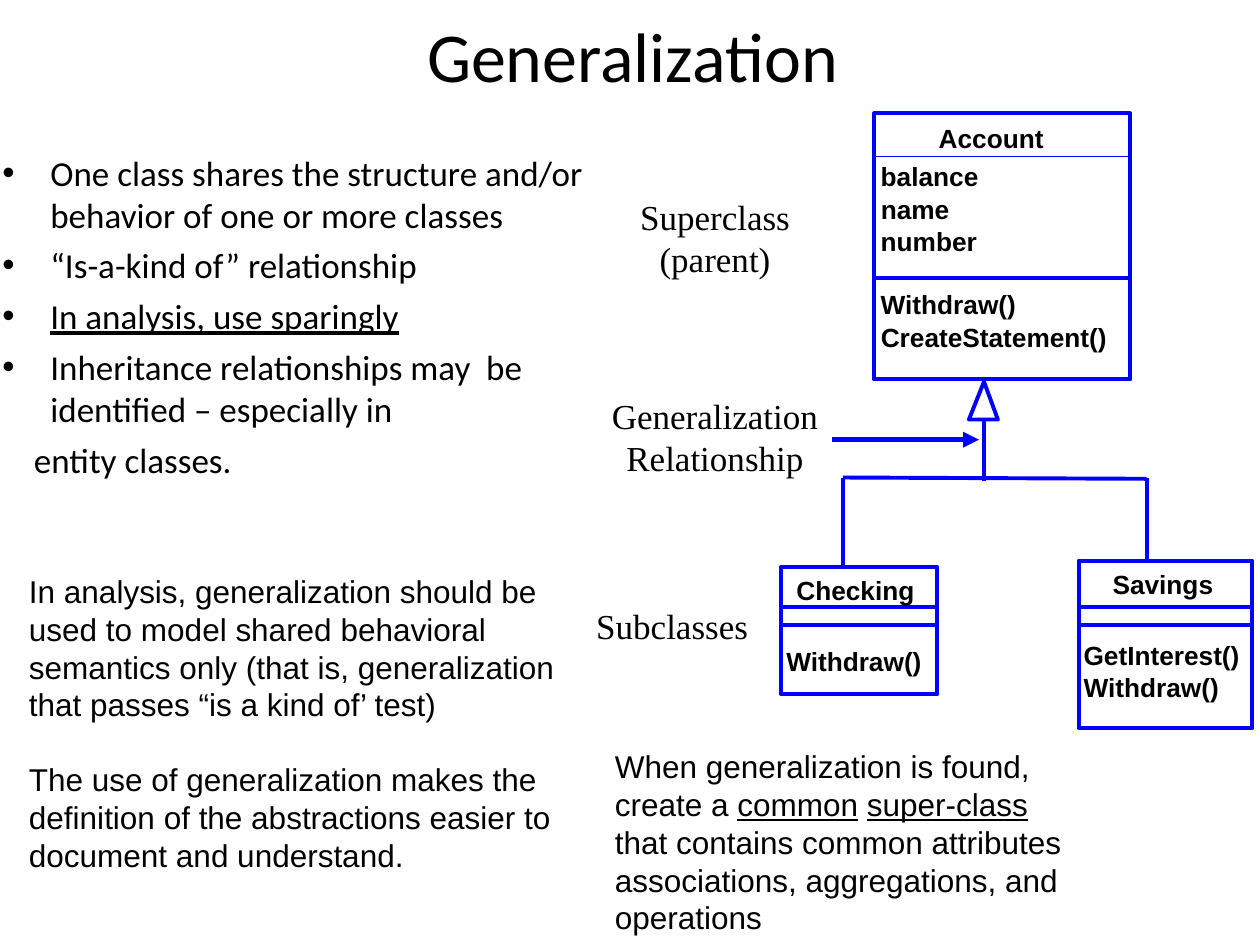
from typing import NamedTuple

from lxml import etree
from pptx import Presentation
from pptx.dml.color import RGBColor
from pptx.enum.shapes import MSO_CONNECTOR, MSO_SHAPE
from pptx.enum.text import MSO_ANCHOR, PP_ALIGN
from pptx.oxml.ns import qn
from pptx.util import Inches, Pt

BLUE = RGBColor(0x00, 0x00, 0xFF)
BLACK = RGBColor(0x00, 0x00, 0x00)
RECT = MSO_SHAPE.RECTANGLE
LINE = MSO_CONNECTOR.STRAIGHT
LEFT, MID = PP_ALIGN.LEFT, PP_ALIGN.CENTER
TOP, CENTER = MSO_ANCHOR.TOP, MSO_ANCHOR.MIDDLE
STROKE = 2.25
PITCH = 0.26


class Box(NamedTuple):
    left: float
    top: float
    width: float
    height: float


class Style(NamedTuple):
    font: str
    size: float
    bold: bool = False
    align: PP_ALIGN = LEFT
    anchor: MSO_ANCHOR = TOP
    pad: tuple = (0.12, 0.06)
    wrap: bool = True


class Run(NamedTuple):
    text: str
    under: bool = False


class Para(NamedTuple):
    runs: list
    before: float = 0
    bullet: bool = False
    indent: float = 0


class Member(NamedTuple):
    text: str
    left: float
    top: float
    width: float


class Sub(NamedTuple):
    """A subclass box with its name and operations."""
    box: Box
    members: list


TITLE = Style("Calibri", 40, align=MID, anchor=CENTER, pad=(0.1, 0.05))
BODY = Style("Calibri", 20, pad=(0.02, 0.05))
NOTE = Style("Arial", 18, wrap=False)
LABEL = Style("Times New Roman", 20, align=MID)
CODE = Style("Arial", 15, bold=True, pad=(0, 0))

POINTS = [
    Para([Run("One class shares the structure and/or behavior of one or more classes")],
         bullet=True),
    Para([Run("“Is-a-kind of” relationship")], 5, True),
    Para([Run("In analysis, use sparingly", True)], 5, True),
    Para([Run("Inheritance relationships may  be identified – especially in")], 5, True),
    Para([Run("entity classes.")], 5, indent=0.25),
]
USE = [
    Para([Run("In analysis, generalization should be")]),
    Para([Run("used to model shared behavioral")]),
    Para([Run("semantics only (that is, generalization")]),
    Para([Run("that passes “is a kind of’ test)")]),
    Para([Run("The use of generalization makes the")], 21),
    Para([Run("definition of the abstractions easier to")]),
    Para([Run("document and understand.")]),
]
FOUND = [
    Para([Run("When generalization is found,")]),
    Para([Run("create a "), Run("common", True), Run(" "), Run("super-class", True)]),
    Para([Run("that contains common attributes")]),
    Para([Run("associations, aggregations, and")]),
    Para([Run("operations")]),
]
LABELS = [
    ("Superclass (parent)", Box(4.69, 1.49, 1.97, 0.79)),
    ("Generalization Relationship", Box(4.69, 3.07, 1.97, 0.79)),
    ("Subclasses", Box(4.35, 4.74, 1.97, 0.45)),
]
ACCOUNT = [
    Member("Account", 7.45, 0.97, 0.95),
    Member("balance", 6.99, 1.27, 0.9),
    Member("name", 6.99, 1.27 + PITCH, 0.65),
    Member("number", 6.99, 1.27 + 2 * PITCH, 0.9),
    Member("Withdraw()", 6.99, 2.29, 1.2),
    Member("CreateStatement()", 6.99, 2.29 + PITCH, 1.92),
]
SUBS = [
    Sub(Box(6.2, 4.5, 1.24, 1.01), [
        Member("Checking", 6.32, 4.56, 1.05),
        Member("Withdraw()", 6.24, 5.12, 1.18),
    ]),
    Sub(Box(8.56, 4.45, 1.38, 1.33), [
        Member("Savings", 8.83, 4.51, 0.92),
        Member("GetInterest()", 8.6, 5.07, 1.34),
        Member("Withdraw()", 8.6, 5.07 + PITCH, 1.2),
    ]),
]


def add_dot(para) -> None:
    props = para._p.get_or_add_pPr()
    props.set("marL", str(Inches(0.38)))
    props.set("indent", str(-Inches(0.38)))
    etree.SubElement(props, qn("a:buFont"), typeface="Arial")
    etree.SubElement(props, qn("a:buChar"), char="•")


def add_text(slide, box: Box, paras: list, style: Style) -> None:
    frame = slide.shapes.add_textbox(*map(Inches, box)).text_frame
    frame.word_wrap = style.wrap
    frame.vertical_anchor = style.anchor
    frame.margin_left = frame.margin_right = Inches(style.pad[0])
    frame.margin_top = frame.margin_bottom = Inches(style.pad[1])
    for i, item in enumerate(paras):
        para = frame.add_paragraph() if i else frame.paragraphs[0]
        if item.bullet:
            add_dot(para)
        elif item.indent:
            para._p.get_or_add_pPr().set("marL", str(Inches(item.indent)))
        para.alignment = style.align
        para.space_before = Pt(item.before)
        for part in item.runs:
            run = para.add_run()
            run.text = part.text
            font = run.font
            font.name, font.size = style.font, Pt(style.size)
            font.bold, font.underline = style.bold, part.under
            font.color.rgb = BLACK


def add_names(slide, members: list) -> None:
    for name in members:
        box = Box(name.left, name.top, name.width, 0.25)
        add_text(slide, box, [Para([Run(name.text)])], CODE)


def outline(shape, width: float = STROKE) -> None:
    shape.shadow.inherit = False
    shape.fill.background()
    shape.line.color.rgb = BLUE
    shape.line.width = Pt(width)


def add_rect(slide, box: Box, width: float = STROKE) -> None:
    outline(slide.shapes.add_shape(RECT, *map(Inches, box)), width)


def add_line(slide, x1: float, y1: float, x2: float, y2: float,
             width: float = STROKE, arrow: bool = False) -> None:
    line = slide.shapes.add_connector(LINE, *map(Inches, (x1, y1, x2, y2)))
    line.line.color.rgb = BLUE
    line.line.width = Pt(width)
    if arrow:
        etree.SubElement(line.line._get_or_add_ln(), qn("a:tailEnd"), type="triangle")
    etree.SubElement(line._element.spPr, qn("a:effectLst"))


def add_tree(slide) -> None:
    """Draw the hollow arrow and the branches down to the subclasses."""
    tip = slide.shapes.build_freeform(Inches(7.81), Inches(3.03), scale=1.0)
    tip.add_line_segments([(Inches(7.92), Inches(3.33)), (Inches(7.69), Inches(3.33))])
    outline(tip.convert_to_shape())
    add_line(slide, 7.81, 3.32, 7.81, 3.82)
    add_line(slide, 6.69, 3.79, 9.1, 3.8)
    for x, sub in zip((6.69, 9.1), SUBS):
        add_line(slide, x, sub.box.top, x, 3.79)
    add_line(slide, 6.6, 3.49, 7.77, 3.49, 3, True)


def main() -> None:
    deck = Presentation()
    deck.slide_width, deck.slide_height = Inches(10), Inches(7.5)
    slide = deck.slides.add_slide(deck.slide_layouts[6])

    for top, width in ((0.9, STROKE), (2.21, STROKE), (1.24, 0)):
        add_rect(slide, Box(6.94, top, 2.03, 3.01 - top), width)
    add_names(slide, ACCOUNT)
    add_tree(slide)
    for box, members in SUBS:
        add_rect(slide, box)
        for y in (4.82, 4.96):
            add_line(slide, box.left, y, box.left + box.width, y)
        add_names(slide, members)
    for text, box in LABELS:
        add_text(slide, box, [Para([Run(text)])], LABEL)

    add_text(slide, Box(0.1, 0.14, 9.84, 0.58), [Para([Run("Generalization")])], TITLE)
    add_text(slide, Box(0, 1.15, 5.2, 5.52), POINTS, BODY)
    add_text(slide, Box(0.11, 4.48, 4.48, 2.52), USE, NOTE)
    add_text(slide, Box(4.76, 5.87, 3.82, 1.62), FOUND, NOTE)
    deck.save("out.pptx")


if __name__ == "__main__":
    main()
